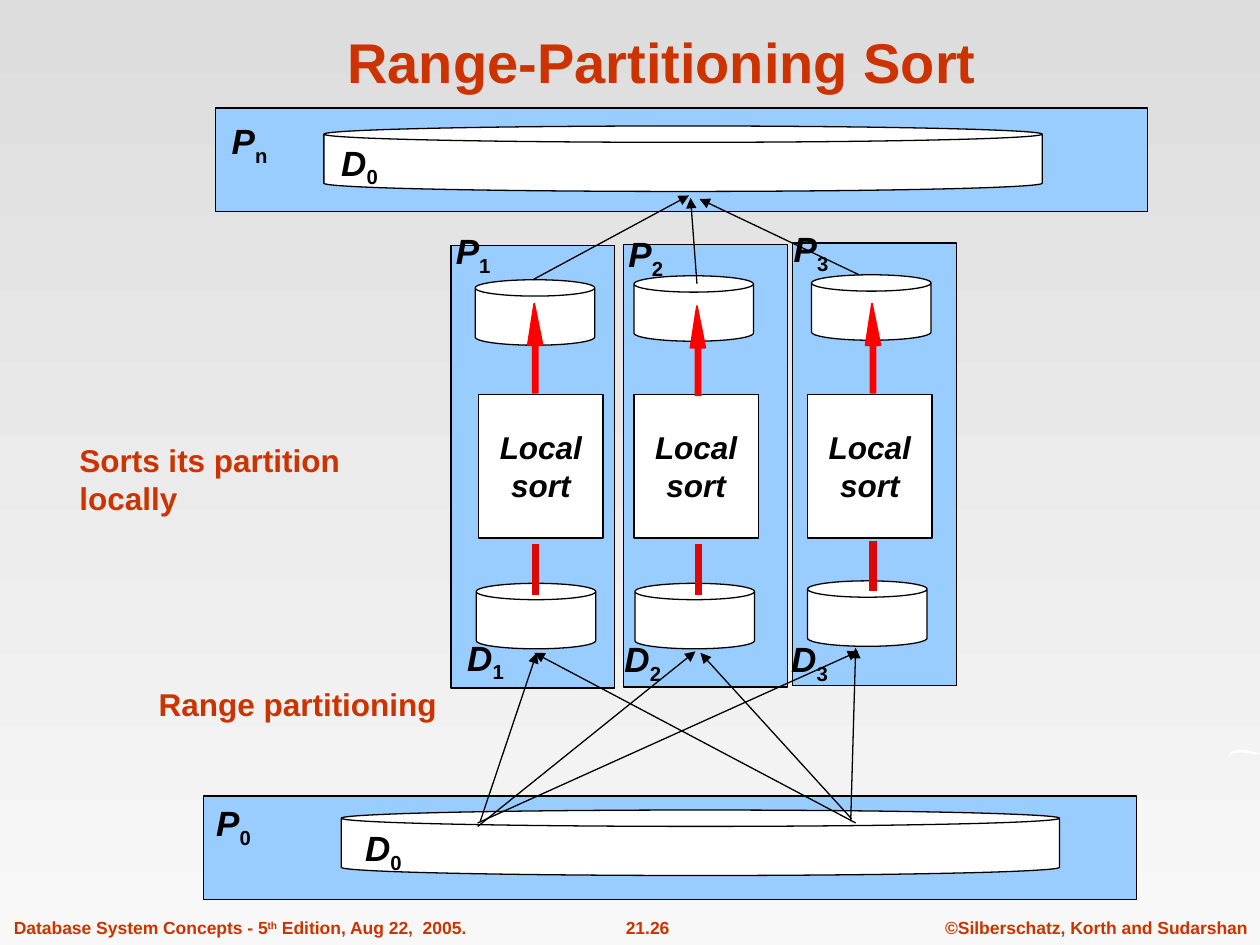
from pptx import Presentation
from pptx.dml.color import RGBColor
from pptx.enum.shapes import MSO_CONNECTOR, MSO_SHAPE
from pptx.enum.text import MSO_ANCHOR, MSO_AUTO_SIZE, PP_ALIGN
from pptx.oxml.ns import qn
from pptx.util import Cm, Pt
from lxml import etree

FONT = "Arial"
COLORS = {
    "accent": "CC3300", "panel": "99CCFF", "white": "FFFFFF", "black": "000000",
    "arrow": "FF0000", "stem": "DD0806", "top": "DDDDDD", "bottom": "F8F8F8",
}

# Content; all positions in cm
TITLE = "Range-Partitioning Sort"
SORT_STEP = "Local\nsort"
NOTES = [
    ("Range partitioning", 2.95, 13.69, 6.12),
    ("Sorts its partition locally", 1.35, 8.76, 7.9),
]
FOOTERS = [  # runs as (text, baseline), left, width, alignment
    ([("Database System Concepts - 5", 0), ("th", 30), (" Edition, Aug 22,  2005.", 0)],
     0.03, 9.63, PP_ALIGN.LEFT),
    ([("21.26", 0)], 11.71, 2.69, PP_ALIGN.CENTER),
    ([("©Silberschatz, Korth and Sudarshan", 0)], 18.8, 6.6, PP_ALIGN.CENTER),
]
WIDE_PROCESSORS = [  # panel and disk corners
    {"panel": (4.34, 2.18), "disk": (6.53, 2.54)},
    {"panel": (4.11, 16.05), "disk": (6.88, 16.33)},
]
SORTERS = [
    {"panel": (9.09, 4.95), "output": (9.58, 5.64), "input": (9.6, 11.76),
     "sort": (9.65, 7.95), "stem": (10.8, 10.97), "arrow": (10.64, 6.12)},
    {"panel": (12.57, 4.93), "output": (12.78, 5.56), "input": (12.8, 11.76),
     "sort": (12.78, 7.95), "stem": (14.08, 10.97), "arrow": (13.92, 6.17)},
    {"panel": (15.98, 4.9), "output": (16.36, 5.54), "input": (16.28, 11.71),
     "sort": (16.28, 7.95), "stem": (17.6, 10.9), "arrow": (17.45, 6.12)},
]
FLOWS = [  # from, to
    ((9.68, 16.56), (10.82, 13.16)), ((9.63, 16.66), (14.02, 13.13)),
    ((9.63, 16.59), (17.3, 13.13)), ((17.25, 16.59), (10.77, 13.16)),
    ((17.17, 16.51), (14.12, 13.16)), ((17.15, 16.56), (17.25, 13.06)),
    ((10.74, 5.64), (13.89, 3.94)), ((14.05, 5.72), (13.92, 3.99)),
    ((17.32, 5.54), (14.1, 4.01)),
]
LABELS = [
    ("P", "1", 8.94, 4.5), ("P", "2", 12.42, 4.57), ("P", "3", 15.75, 4.47),
    ("D", "1", 9.17, 12.7), ("D", "2", 12.34, 12.73), ("D", "3", 15.7, 12.73),
    ("D", "0", 7.11, 16.54), ("P", "0", 4.11, 16.03),
    ("D", "0", 6.63, 2.72), ("P", "n", 4.42, 2.29),
]
WIDE_PANEL, WIDE_DISK = (18.8, 2.08), (14.48, 1.32)
PANEL, DISK, SORT_BOX = (3.3, 8.92), (2.41, 1.32), (2.51, 2.9)
LABEL_SIZE = (1.24, 1.22)
STEM_LENGTH = 1.02
ARROW_OUTLINE = [(0.1, 1.8), (0.1, 0.84), (0, 0.84), (0.13, 0),
                 (0.3, 0.84), (0.2, 0.84), (0.2, 1.8)]
EDGE_OUTLINE = [(0, 0.15), (0.05, 0.05), (0.15, 0.02), (0.25, 0), (0.4, 0.02),
                (0.6, 0.07), (0.64, 0.08), (0.58, 0.1), (0.38, 0.07),
                (0.25, 0.06), (0.12, 0.07), (0.03, 0.12)]


def rgb(name):
    return RGBColor.from_string(COLORS[name])


def style_run(run, size, color, italic=False, baseline=0):
    run.font.name, run.font.size = FONT, Pt(size)
    run.font.bold, run.font.italic = True, italic
    run.font.color.rgb = rgb(color)
    if baseline:
        run._r.get_or_add_rPr().set("baseline", str(baseline * 1000))


def paint(shape, fill, line=None, width=0.75):
    shape.shadow.inherit = False
    shape.fill.solid()
    shape.fill.fore_color.rgb = rgb(fill)
    if line:
        shape.line.color.rgb = rgb(line)
        shape.line.width = Pt(width)
    else:
        shape.line.fill.background()


def add_block(slide, kind, corner, size, fill):
    block = slide.shapes.add_shape(kind, *map(Cm, corner + size))
    paint(block, fill, "black")
    return block


def add_outline(slide, corner, outline, fill, line=None):
    points = [(Cm(corner[0] + x), Cm(corner[1] + y)) for x, y in outline]
    builder = slide.shapes.build_freeform(*points[0])
    builder.add_line_segments(points[1:], close=True)
    paint(builder.convert_to_shape(), fill, line, 1)


def add_line(slide, start, end, color, width, arrow=False):
    line = slide.shapes.add_connector(MSO_CONNECTOR.STRAIGHT, *map(Cm, start + end))
    line.line.color.rgb = rgb(color)
    line.line.width = Pt(width)
    if arrow:
        etree.SubElement(line.line._get_or_add_ln(), qn("a:tailEnd"), type="triangle")
    etree.SubElement(line._element.spPr, qn("a:effectLst"))


def add_text(slide, box, runs, size, color, align=PP_ALIGN.LEFT):
    """Runs are (text, italic, baseline percent); the box grows to keep one line."""
    frame = slide.shapes.add_textbox(*map(Cm, box)).text_frame
    frame.word_wrap = False
    frame.auto_size = MSO_AUTO_SIZE.SHAPE_TO_FIT_TEXT
    paragraph = frame.paragraphs[0]
    paragraph.alignment = align
    for text, italic, baseline in runs:
        run = paragraph.add_run()
        run.text = text
        style_run(run, size, color, italic, baseline)


def main():
    prs = Presentation()
    prs.slide_width, prs.slide_height = Cm(25.4), Cm(19.05)
    slide = prs.slides.add_slide(prs.slide_layouts[5])

    # Background
    background = slide.background.fill
    background.gradient()
    background.gradient_angle = 270
    for stop, name in zip(background.gradient_stops, ("top", "bottom")):
        stop.color.rgb = rgb(name)

    # Title
    title = slide.shapes.title
    title.left, title.top, title.width, title.height = map(Cm, (2.13, 0.33, 22.43, 1.7))
    title.text_frame.text = TITLE
    title.text_frame.vertical_anchor = MSO_ANCHOR.BOTTOM
    title.text_frame.paragraphs[0].alignment = PP_ALIGN.CENTER
    style_run(title.text_frame.paragraphs[0].runs[0], 32, "accent")

    # Footer and edge ornament
    for parts, left, width, align in FOOTERS:
        runs = [(text, False, baseline) for text, baseline in parts]
        add_text(slide, (left, 18.36, width, 0.69), runs, 10, "accent", align)
    add_outline(slide, (24.76, 15.11), EDGE_OUTLINE, "white")

    # Source and result processors
    for processor in WIDE_PROCESSORS:
        add_block(slide, MSO_SHAPE.RECTANGLE, processor["panel"], WIDE_PANEL, "panel")
        add_block(slide, MSO_SHAPE.CAN, processor["disk"], WIDE_DISK, "white")

    # Sorting processors
    for sorter in SORTERS:
        add_block(slide, MSO_SHAPE.RECTANGLE, sorter["panel"], PANEL, "panel")
        for disk in ("output", "input"):
            add_block(slide, MSO_SHAPE.CAN, sorter[disk], DISK, "white")
        x, y = sorter["stem"]
        add_line(slide, (x, y), (x, y + STEM_LENGTH), "stem", 4.25)
        step = add_block(slide, MSO_SHAPE.RECTANGLE, sorter["sort"], SORT_BOX, "white")
        step.text_frame.text = SORT_STEP
        step.text_frame.word_wrap = False
        step.text_frame.vertical_anchor = MSO_ANCHOR.MIDDLE
        for paragraph in step.text_frame.paragraphs:
            paragraph.alignment = PP_ALIGN.CENTER
            style_run(paragraph.runs[0], 18, "black", italic=True)
        add_outline(slide, sorter["arrow"], ARROW_OUTLINE, "arrow", "arrow")

    # Data flows
    for start, end in FLOWS:
        add_line(slide, start, end, "black", 0.75, arrow=True)

    # Notes and labels
    for text, left, top, width in NOTES:
        add_text(slide, (left, top, width, 1.02), [(text, False, 0)], 18, "accent")
    for letter, index, left, top in LABELS:
        runs = [(letter, True, 0), (index, False, -25)]
        add_text(slide, (left, top) + LABEL_SIZE, runs, 20, "black")

    prs.save("out.pptx")


if __name__ == "__main__":
    main()
